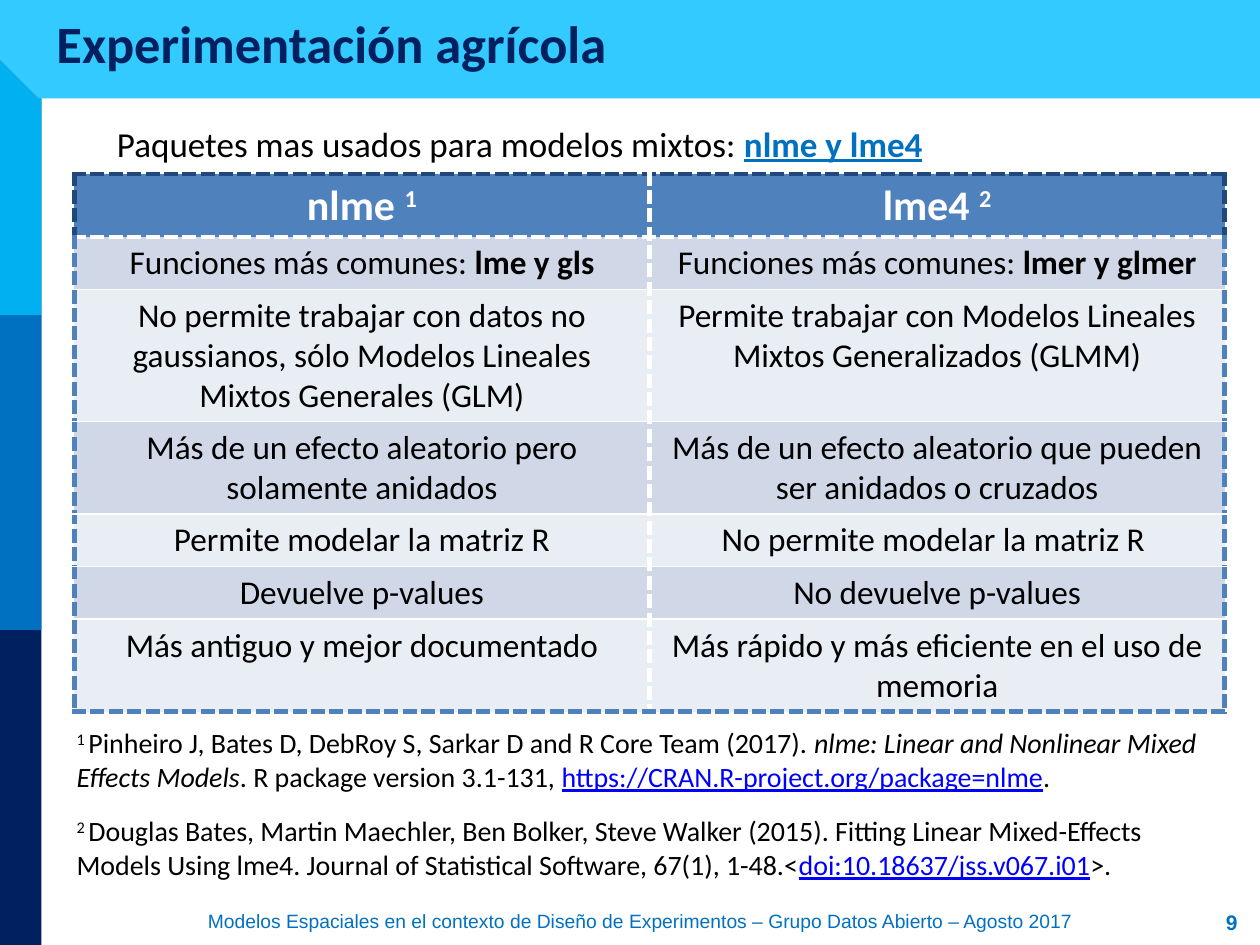
from lxml.etree import SubElement
from pptx import Presentation
from pptx.dml.color import RGBColor
from pptx.enum.shapes import MSO_SHAPE as Shape
from pptx.enum.text import MSO_ANCHOR as Anchor, PP_ALIGN as Align
from pptx.oxml.ns import qn
from pptx.util import Inches, Pt

NAVY = RGBColor(0x00, 0x20, 0x60)
BLUE = RGBColor(0x00, 0x70, 0xC0)
SKY = RGBColor(0x00, 0xB0, 0xF0)
CYAN = RGBColor(0x33, 0xCA, 0xFF)
LINK = RGBColor(0x00, 0x00, 0xFF)
BLACK = RGBColor(0x00, 0x00, 0x00)
WHITE = RGBColor(0xFF, 0xFF, 0xFF)
HEADER = RGBColor(0x4F, 0x81, 0xBD)
HEADER_EDGE = RGBColor(0x1F, 0x49, 0x7D)
BAND_DARK = RGBColor(0xD0, 0xD8, 0xE8)
BAND_LIGHT = RGBColor(0xE9, 0xED, 0xF4)


def fill_paragraph(paragraph, runs, size, color, font="Calibri", align=Align.LEFT):
    """Write (text, style) runs; style letters: b, i, u, ^ (superscript), l (link colour), h (highlight)."""
    paragraph.alignment = align
    paragraph.font.name = font
    paragraph.font.size = Pt(size)
    paragraph.font.color.rgb = color
    for text, style in runs:
        run = paragraph.add_run()
        run.text = text
        run.font.name = font
        run.font.size = Pt(size)
        run.font.bold = "b" in style
        run.font.italic = "i" in style
        run.font.underline = "u" in style
        run.font.color.rgb = LINK if "l" in style else BLUE if "h" in style else color
        if "^" in style:
            run.font._element.set("baseline", "30000")


def add_text(left, top, width, height, anchor=Anchor.TOP):
    box = slide.shapes.add_textbox(Inches(left), Inches(top), Inches(width), Inches(height))
    box.text_frame.word_wrap = True
    box.text_frame.vertical_anchor = anchor
    return box.text_frame


presentation = Presentation()
presentation.slide_width = Inches(10)
presentation.slide_height = Inches(7.5)
slide = presentation.slides.add_slide(presentation.slide_layouts[6])

# Introductory line
intro = add_text(0.83, 0.92, 7.09, 0.44)
fill_paragraph(intro.paragraphs[0], [("Paquetes mas usados para modelos mixtos: ", ""),
                                     ("nlme y lme4", "buh")], 20, BLACK)

# Side bands and title banner
for kind, left, top, width, height, color in [
    (Shape.RECTANGLE, 0, 0, 0.33, 7.5, NAVY),
    (Shape.RECTANGLE, 0, 2.5, 0.33, 2.5, BLUE),
    (Shape.RECTANGLE, 0, 0, 0.33, 2.5, SKY),
    (Shape.SNIP_1_RECTANGLE, 0, -0.01, 10.04, 0.79, CYAN),
]:
    shape = slide.shapes.add_shape(kind, Inches(left), Inches(top), Inches(width), Inches(height))
    shape.shadow.inherit = False
    shape.fill.solid()
    shape.fill.fore_color.rgb = color
    shape.line.fill.background()
banner = shape
banner.adjustments[0] = 0.39
banner_transform = banner._element.spPr.find(qn("a:xfrm"))
banner_transform.set("flipH", "1")
banner_transform.set("flipV", "1")

# Title, page number and footer
title = add_text(0.35, 0.04, 5.67, 0.61)
fill_paragraph(title.paragraphs[0], [("Experimentación agrícola", "b")], 30, NAVY)
page_number = add_text(9.41, 7.06, 0.51, 0.52, Anchor.MIDDLE)
fill_paragraph(page_number.paragraphs[0], [("9", "b")], 12, BLUE, "Arial", Align.RIGHT)
footer = add_text(1.42, 7.17, 7.33, 0.29)
fill_paragraph(footer.paragraphs[0], [
    ("Modelos Espaciales en el contexto de Diseño de Experimentos – Grupo Datos Abierto – Agosto 2017", ""),
], 11, BLUE, "Arial", Align.CENTER)

# Comparison table
rows = [
    ([("nlme ", "b"), ("1", "b^")], [("lme4 ", "b"), ("2", "b^")]),
    ([("Funciones más comunes: ", ""), ("lme y gls", "b")],
     [("Funciones más comunes: ", ""), ("lmer y glmer", "b")]),
    ([("No permite trabajar con datos no gaussianos, sólo Modelos Lineales Mixtos Generales (GLM)", "")],
     [("Permite trabajar con Modelos Lineales Mixtos Generalizados (GLMM)", "")]),
    ([("Más de un efecto aleatorio pero solamente anidados", "")],
     [("Más de un efecto aleatorio que pueden ser anidados o cruzados", "")]),
    ([("Permite modelar la matriz R", "")], [("No permite modelar la matriz R ", "")]),
    ([("Devuelve p-values", "")], [("No devuelve p-values", "")]),
    ([("Más antiguo y mejor documentado", "")],
     [("Más rápido y más eficiente en el uso de memoria", "")]),
]
last_row = len(rows) - 1
table = slide.shapes.add_table(len(rows), 2, Inches(0.59), Inches(1.38),
                               Inches(9.13), Inches(0.41 * len(rows))).table
for row_index, row in enumerate(rows):
    table.rows[row_index].height = Inches(0.41)
    is_header = row_index == 0
    outer = (HEADER_EDGE if is_header else HEADER, 3)
    inner = (WHITE, 3)
    thin = (WHITE, 1)
    for column_index, runs in enumerate(row):
        cell = table.cell(row_index, column_index)
        fill_paragraph(cell.text_frame.paragraphs[0], runs, 24 if is_header else 19,
                       WHITE if is_header else BLACK, align=Align.CENTER)
        borders = {
            "a:lnL": outer if column_index == 0 else inner,
            "a:lnR": inner if column_index == 0 else outer,
            "a:lnT": outer if is_header else inner if row_index == 1 else thin,
            "a:lnB": inner if is_header else outer if row_index == last_row else thin,
        }
        # Borders come before the fill in the cell properties; wide ones are dashed
        properties = cell._tc.get_or_add_tcPr()
        for tag, (color, width) in borders.items():
            line = SubElement(properties, qn(tag), w=str(Pt(width)))
            SubElement(SubElement(line, qn("a:solidFill")), qn("a:srgbClr"), val=str(color))
            SubElement(line, qn("a:prstDash"), val="sysDash" if width == 3 else "solid")
        cell.fill.solid()
        cell.fill.fore_color.rgb = HEADER if is_header else BAND_DARK if row_index % 2 else BAND_LIGHT

# References
references = [
    [("1 ", "^"),
     ("Pinheiro J, Bates D, DebRoy S, Sarkar D and R Core Team (2017). ", ""),
     ("nlme: Linear and Nonlinear Mixed Effects Models", "i"),
     (". R package version 3.1-131, ", ""),
     ("https://CRAN.R-project.org/package=nlme", "ul"),
     (".", "")],
    [("2 ", "^"),
     ("Douglas Bates, Martin Maechler, Ben Bolker, Steve Walker (2015). Fitting Linear Mixed-Effects "
      "Models Using lme4. Journal of Statistical Software, 67(1), 1-48.<", ""),
     ("doi:10.18637/jss.v067.i01", "ul"),
     (">.", "")],
]
notes = add_text(0.51, 5.71, 9.37, 1.35)
for index, runs in enumerate(references):
    paragraph = notes.add_paragraph() if index else notes.paragraphs[0]
    paragraph.space_before = paragraph.space_after = Pt(6)
    fill_paragraph(paragraph, runs, 16, BLACK)

presentation.save("out.pptx")
